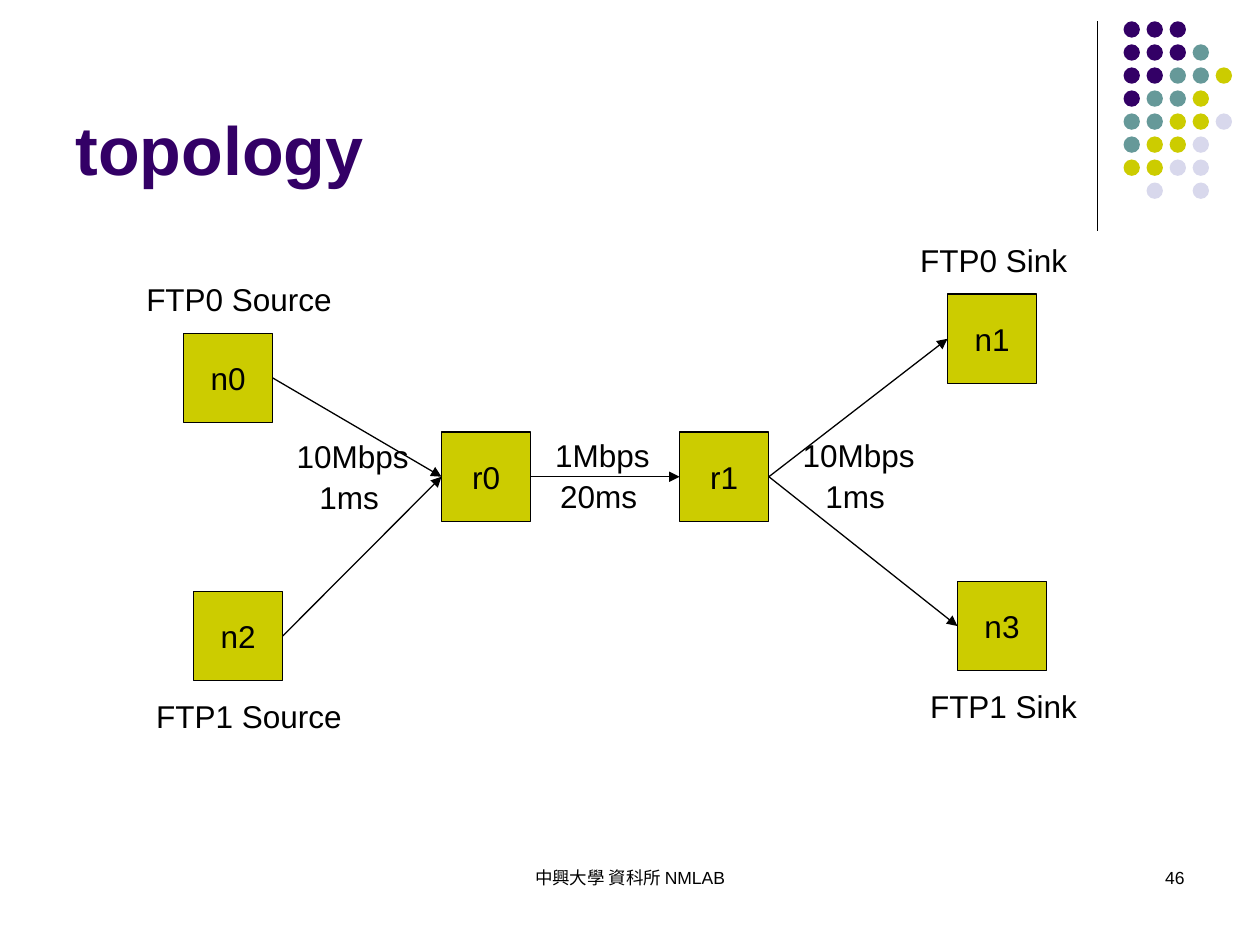
from dataclasses import dataclass

from lxml.etree import SubElement
from pptx import Presentation
from pptx.dml.color import RGBColor
from pptx.enum.shapes import MSO_CONNECTOR as Connector, MSO_SHAPE as Shape
from pptx.enum.text import MSO_ANCHOR as Anchor, MSO_AUTO_SIZE as AutoSize, PP_ALIGN as Align
from pptx.oxml.ns import qn
from pptx.util import Cm, Pt


@dataclass(frozen=True)
class Theme:
    font: str = "Arial"
    ink: str = "000000"
    purple: str = "330066"
    teal: str = "669999"
    olive: str = "CCCC00"
    lavender: str = "D8D8EC"
    title_size: int = 39
    body_size: int = 18
    footer_size: int = 10
    line_width: float = 0.75


THEME = Theme()

NODE_SIZE = 1.8
LABEL_HEIGHT = 1.02
SOURCE_WIDTH, SINK_WIDTH = 4.3, 3.6
DOT_SIZE = 0.33
DOT_LEFT, DOT_TOP = 22.65, 0.43
DOT_COLORS = {"P": THEME.purple, "T": THEME.teal, "O": THEME.olive, "L": THEME.lavender}
DOT_ROWS = ["PPP", "PPPT", "PPTTO", "PTTO", "TTOOL", "TOOL", "OOLL", ".L.L"]
DOT_PITCH = 3.25 / (len(DOT_ROWS) - 1)

NODES = {
    "n0": (3.7, 6.72),
    "r0": (8.9, 8.71),
    "n1": (19.1, 5.93),
    "r1": (13.7, 8.71),
    "n2": (3.9, 11.92),
    "n3": (19.3, 11.72),
}
LINKS = [("n0", "r0"), ("r0", "r1"), ("r1", "n1"), ("n2", "r0"), ("r1", "n3")]
LABELS = [
    ("FTP0 Source", 2.7, 5.53, SOURCE_WIDTH),
    ("FTP1 Source", 2.9, 13.92, SOURCE_WIDTH),
    ("FTP0 Sink", 18.3, 4.74, SINK_WIDTH),
    ("FTP1 Sink", 18.5, 13.72, SINK_WIDTH),
    ("10Mbps", 5.73, 8.69, 2.8),
    ("1ms", 6.19, 9.51, 1.75),
    ("1Mbps", 10.94, 8.67, 2.45),
    ("20ms", 11.04, 9.49, 2.1),
    ("10Mbps", 15.93, 8.67, 2.8),
    ("1ms", 16.39, 9.49, 1.75),
]


def write_text(shape, text, size=THEME.body_size, color=THEME.ink, bold=False,
               align=Align.LEFT, anchor=Anchor.TOP, wrap=False):
    frame = shape.text_frame
    frame.word_wrap = wrap
    frame.auto_size = AutoSize.NONE
    frame.vertical_anchor = anchor
    paragraph = frame.paragraphs[0]
    paragraph.alignment = align
    run = paragraph.add_run()
    run.text = text
    run.font.name = THEME.font
    run.font.size = Pt(size)
    run.font.bold = bold
    run.font.color.rgb = RGBColor.from_string(color)


class SlideBuilder:
    def __init__(self, slide, theme):
        self.slide = slide
        self.theme = theme

    def title(self, text, left, top, width, height):
        title = self.slide.shapes.title
        title.left, title.top, title.width, title.height = map(Cm, (left, top, width, height))
        write_text(title, text, size=self.theme.title_size, color=self.theme.purple,
                   bold=True, anchor=Anchor.BOTTOM, wrap=True)

    def shape(self, kind, left, top, size, fill):
        shape = self.slide.shapes.add_shape(kind, Cm(left), Cm(top), Cm(size), Cm(size))
        shape.shadow.inherit = False
        shape.fill.solid()
        shape.fill.fore_color.rgb = RGBColor.from_string(fill)
        shape.line.fill.background()
        return shape

    def dot(self, left, top, color):
        self.shape(Shape.OVAL, left, top, DOT_SIZE, color)

    def node(self, name, left, top):
        node = self.shape(Shape.RECTANGLE, left, top, NODE_SIZE, self.theme.olive)
        self.stroke(node)
        write_text(node, name, align=Align.CENTER, anchor=Anchor.MIDDLE)
        return node

    def text(self, text, left, top, width, height, **style):
        box = self.slide.shapes.add_textbox(Cm(left), Cm(top), Cm(width), Cm(height))
        write_text(box, text, wrap=True, **style)

    def stroke(self, shape):
        shape.line.color.rgb = RGBColor.from_string(self.theme.ink)
        shape.line.width = Pt(self.theme.line_width)

    def line(self, start_x=0, start_y=0, end_x=0, end_y=0):
        line = self.slide.shapes.add_connector(
            Connector.STRAIGHT, Cm(start_x), Cm(start_y), Cm(end_x), Cm(end_y))
        self.stroke(line)
        SubElement(line._element.spPr, qn("a:effectLst"))
        return line

    def arrow(self, source, target):
        arrow = self.line()
        arrow.begin_connect(source, 3)
        arrow.end_connect(target, 1)
        SubElement(arrow.line._get_or_add_ln(), qn("a:tailEnd"), type="triangle")


def main():
    presentation = Presentation()
    presentation.slide_width, presentation.slide_height = Cm(25.4), Cm(19.05)
    slide = presentation.slides.add_slide(presentation.slide_layouts[5])
    builder = SlideBuilder(slide, THEME)

    builder.title("topology", 1.27, 0.35, 20.96, 3.6)
    builder.line(22.12, 0.43, 22.12, 4.65)
    for row, codes in enumerate(DOT_ROWS):
        for column, code in enumerate(codes):
            if code in DOT_COLORS:
                builder.dot(DOT_LEFT + column * DOT_PITCH, DOT_TOP + row * DOT_PITCH,
                            DOT_COLORS[code])

    nodes = {name: builder.node(name, left, top) for name, (left, top) in NODES.items()}
    for source, target in LINKS:
        builder.arrow(nodes[source], nodes[target])
    for text, left, top, width in LABELS:
        builder.text(text, left, top, width, LABEL_HEIGHT)

    builder.text("中興大學 資科所 NMLAB", 8.68, 17.35, 8.04, 1.27,
                 size=THEME.footer_size, align=Align.CENTER)
    builder.text("46", 18.2, 17.35, 5.93, 1.27,
                 size=THEME.footer_size, align=Align.RIGHT)

    presentation.save("out.pptx")


if __name__ == "__main__":
    main()
